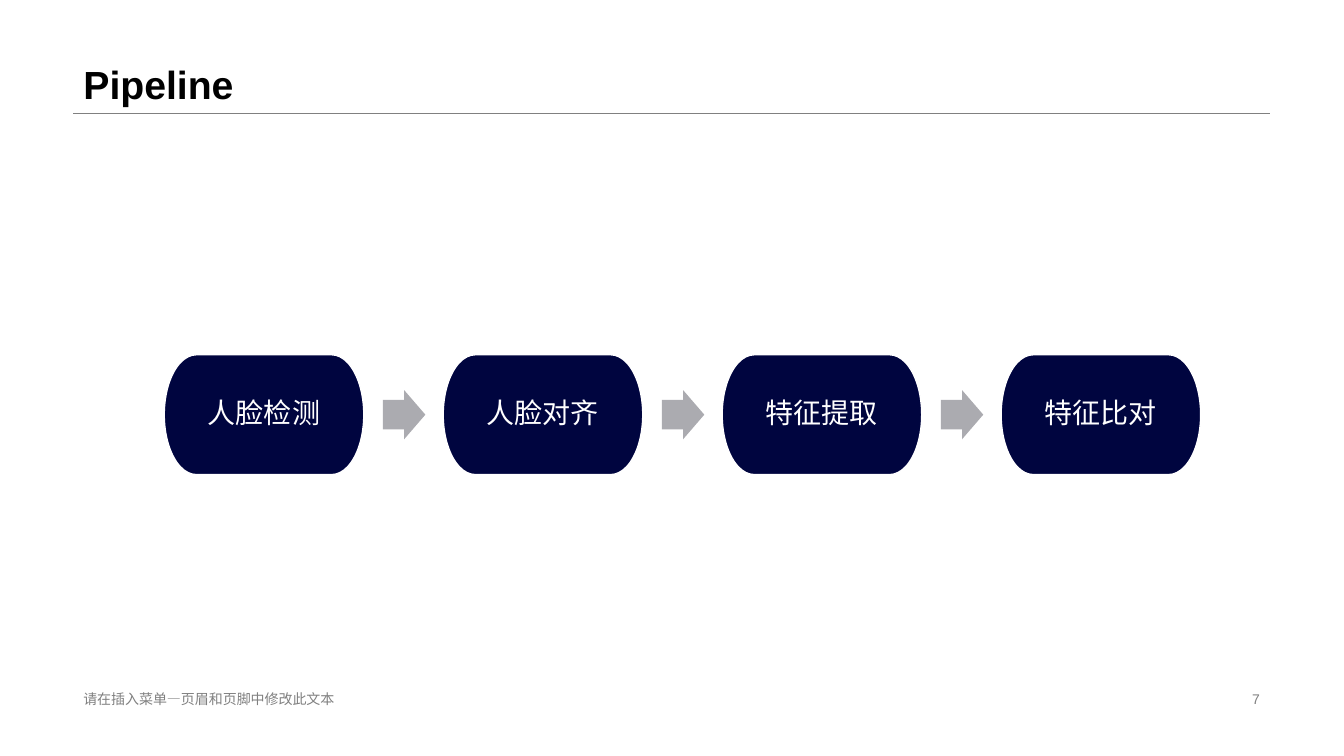
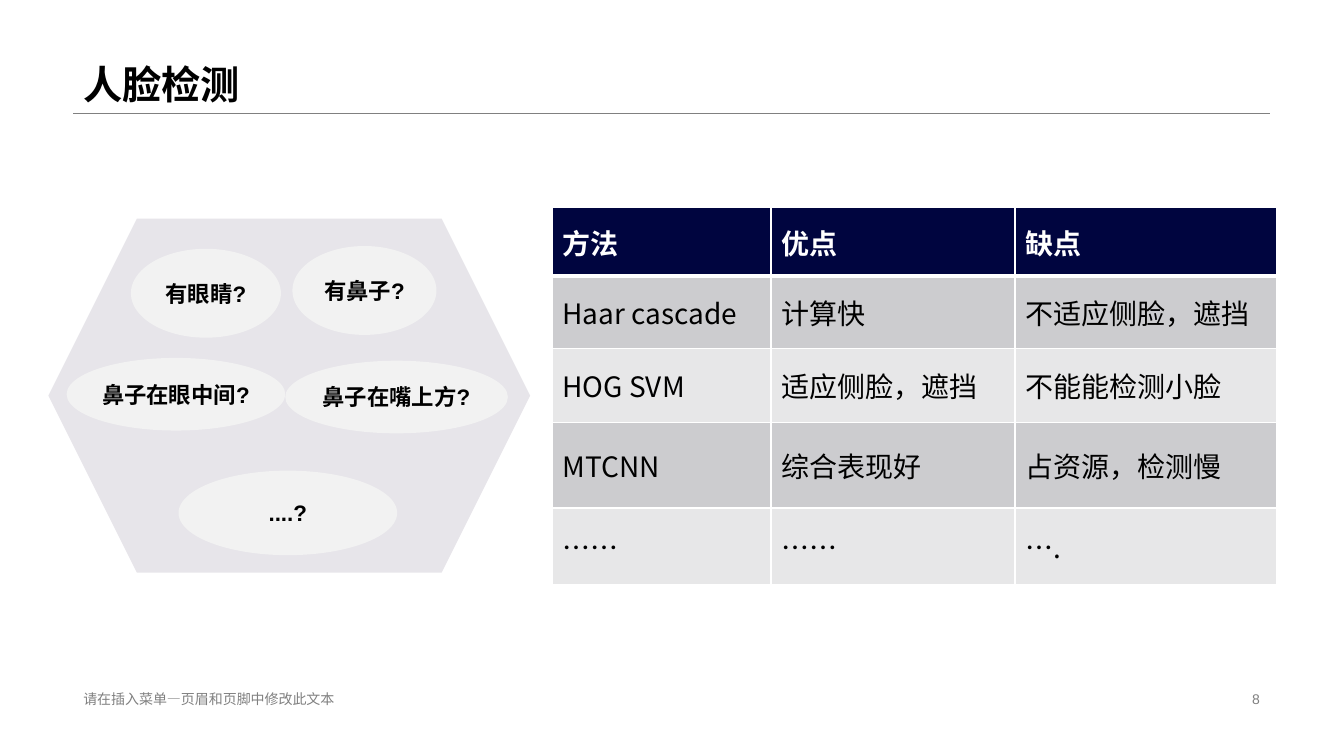
from lxml.etree import SubElement
from pptx import Presentation
from pptx.dml.color import RGBColor
from pptx.enum.shapes import MSO_CONNECTOR, MSO_SHAPE
from pptx.enum.text import MSO_ANCHOR, MSO_AUTO_SIZE, PP_ALIGN
from pptx.oxml.ns import qn
from pptx.util import Cm, Pt

COLORS = {
    "navy": "00053F", "arrow": "ABABB0", "hexagon": "E7E5EA", "bubble": "F2F2F2",
    "odd_row": "CCCCCF", "even_row": "E7E7E8", "gray": "808080",
    "black": "000000", "white": "FFFFFF",
}
LATIN_FONT, TABLE_FONT = "Arial", "Noto Sans CJK SC"

FOOTER = "请在插入菜单—页眉和页脚中修改此文本"
FIRST_NUMBER = 7
STEPS = ["人脸检测", "人脸对齐", "特征提取", "特征比对"]
QUESTIONS = [  # text, left, top, width, height in cm
    ("有眼睛?", 3.3, 6.27, 3.78, 2.24),
    ("有鼻子?", 7.37, 6.2, 3.63, 2.24),
    ("鼻子在眼中间?", 1.68, 9.02, 5.51, 1.83),
    ("鼻子在嘴上方?", 7.19, 9.09, 5.61, 1.83),
    ("....?", 4.5, 11.86, 5.51, 2.13),
]
METHODS = [
    ("方法", "优点", "缺点"),
    ("Haar cascade", "计算快", "不适应侧脸，遮挡"),
    ("HOG SVM", "适应侧脸，遮挡", "不能能检测小脸"),
    ("MTCNN", "综合表现好", "占资源，检测慢"),
    ("……", "……", "…."),
]
COLUMN_WIDTHS = [5.51, 6.15, 6.58]
ROW_HEIGHTS = [1.73, 1.83, 1.85, 2.16, 1.93]

MARGIN, CONTENT_WIDTH, RULE_Y = 1.85, 30.15, 2.84
STEP_LEFT, STEP_PITCH, STEP_MIDDLE = 4.14, 7.03, 10.45
STEP_WIDTH, STEP_HEIGHT = 5.03, 3.02
ARROW_OFFSET, ARROW_WIDTH, ARROW_HEIGHT = 5.51, 1.07, 1.24


def color(name):
    return RGBColor.from_string(COLORS[name])


def write(frame, text, size, color_name, align=PP_ALIGN.LEFT, font=LATIN_FONT,
          bold=False, line_spacing=1.0):
    frame.text = text
    paragraph = frame.paragraphs[0]
    paragraph.alignment = align
    paragraph.line_spacing = line_spacing
    run_font = paragraph.runs[0].font
    for name, value in {"name": font, "size": Pt(size), "bold": bold}.items():
        setattr(run_font, name, value)
    run_font.color.rgb = color(color_name)


def add_filled(slide, kind, box, fill, outline=None):
    shape = slide.shapes.add_shape(kind, *map(Cm, box))
    shape.shadow.inherit = False
    shape.fill.solid()
    shape.fill.fore_color.rgb = color(fill)
    if outline:
        shape.line.color.rgb = color(outline)
        shape.line.width = Pt(1)
    else:
        shape.line.fill.background()
    return shape


def add_footer(slide, text, left, width, align):
    frame = slide.shapes.add_textbox(Cm(left), Cm(17.32), Cm(width), Cm(0.58)).text_frame
    frame.word_wrap = True
    frame.vertical_anchor = MSO_ANCHOR.MIDDLE
    write(frame, text, 10, "gray", align)


def add_titled_slide(presentation, title):
    """Add a slide with the shared title, rule, footer and number."""
    slide = presentation.slides.add_slide(presentation.slide_layouts[5])
    rule = slide.shapes.add_connector(
        MSO_CONNECTOR.STRAIGHT, Cm(MARGIN), Cm(RULE_Y), Cm(MARGIN + CONTENT_WIDTH), Cm(RULE_Y))
    rule.line.color.rgb = color("gray")
    rule.line.width = Pt(0.25)
    SubElement(rule.element.spPr, qn("a:effectLst"))

    heading = slide.shapes.title
    box = {"left": MARGIN, "top": 0, "width": CONTENT_WIDTH, "height": RULE_Y}
    for name, value in box.items():
        setattr(heading, name, Cm(value))
    frame = heading.text_frame
    frame.auto_size = MSO_AUTO_SIZE.NONE
    frame.vertical_anchor = MSO_ANCHOR.BOTTOM
    write(frame, title, 28, "black", bold=True, line_spacing=0.9)

    number = FIRST_NUMBER + len(presentation.slides) - 1
    add_footer(slide, FOOTER, MARGIN, 11.5, PP_ALIGN.LEFT)
    add_footer(slide, str(number), 23.93, 8.07, PP_ALIGN.RIGHT)
    return slide


def add_pipeline(slide):
    for index, step in enumerate(STEPS):
        left = STEP_LEFT + index * STEP_PITCH
        box = (left, STEP_MIDDLE - STEP_HEIGHT / 2, STEP_WIDTH, STEP_HEIGHT)
        shape = add_filled(slide, MSO_SHAPE.FLOWCHART_TERMINATOR, box, "navy", "white")
        write(shape.text_frame, step, 20, "white", PP_ALIGN.CENTER, line_spacing=0.9)
        if index < len(STEPS) - 1:
            box = (left + ARROW_OFFSET, STEP_MIDDLE - ARROW_HEIGHT / 2,
                   ARROW_WIDTH, ARROW_HEIGHT)
            arrow = add_filled(slide, MSO_SHAPE.RIGHT_ARROW, box, "arrow")
            arrow.adjustments[0] = 0.6


def add_questions(slide):
    add_filled(slide, MSO_SHAPE.HEXAGON, (1.22, 5.51, 12.14, 8.92), "hexagon")
    for text, *box in QUESTIONS:
        bubble = add_filled(slide, MSO_SHAPE.OVAL, box, "bubble")
        bubble.text_frame.word_wrap = False
        write(bubble.text_frame, text, 16, "black", PP_ALIGN.CENTER, bold=True)


def set_borders(cell, widths):
    """Give a cell white borders; widths maps sides to points."""
    properties = cell._tc.get_or_add_tcPr()
    for index, (side, width) in enumerate(widths.items()):
        line = SubElement(properties, qn(f"a:ln{side}"), w=str(Pt(width)))
        properties.insert(index, line)
        fill = SubElement(line, qn("a:solidFill"))
        SubElement(fill, qn("a:srgbClr"), val=COLORS["white"])


def add_methods(slide):
    table = slide.shapes.add_table(
        len(METHODS), len(COLUMN_WIDTHS), Cm(13.92), Cm(5.23),
        Cm(sum(COLUMN_WIDTHS)), Cm(sum(ROW_HEIGHTS))).table
    for column, width in zip(table.columns, COLUMN_WIDTHS):
        column.width = Cm(width)
    for row_index, (row, height, texts) in enumerate(zip(table.rows, ROW_HEIGHTS, METHODS)):
        row.height = Cm(height)
        header = row_index == 0
        fill = "navy" if header else "odd_row" if row_index % 2 else "even_row"
        for cell, text in zip(row.cells, texts):
            cell.vertical_anchor = MSO_ANCHOR.MIDDLE
            cell.fill.solid()
            cell.fill.fore_color.rgb = color(fill)
            write(cell.text_frame, text, 20, "white" if header else "black",
                  font=TABLE_FONT, bold=header)
            set_borders(cell, {"L": 1, "R": 1, "T": 3 if row_index == 1 else 1,
                               "B": 3 if header else 1})


def main():
    presentation = Presentation()
    presentation.slide_width, presentation.slide_height = Cm(33.87), Cm(19.05)
    add_pipeline(add_titled_slide(presentation, "Pipeline"))
    detection = add_titled_slide(presentation, "人脸检测")
    add_questions(detection)
    add_methods(detection)
    presentation.save("out.pptx")


if __name__ == "__main__":
    main()
